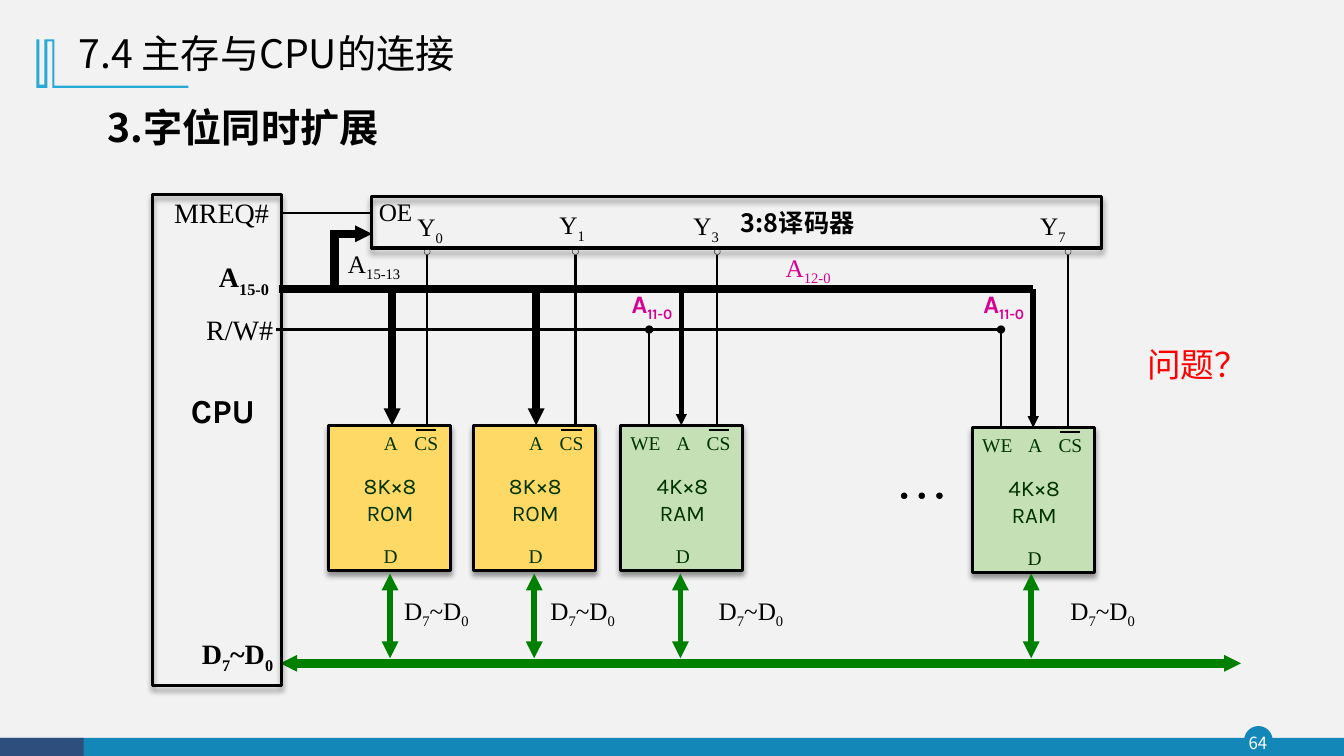
from dataclasses import dataclass

from lxml.etree import SubElement
from pptx import Presentation
from pptx.dml.color import RGBColor
from pptx.enum.shapes import MSO_CONNECTOR, MSO_SHAPE
from pptx.enum.text import MSO_ANCHOR, PP_ALIGN
from pptx.oxml.ns import qn
from pptx.util import Pt

LEFT, MID, RIGHT = PP_ALIGN.LEFT, PP_ALIGN.CENTER, PP_ALIGN.RIGHT


@dataclass(frozen=True)
class Theme:
    back: str = "F2F2F2"
    ink: str = "000000"
    white: str = "FFFFFF"
    blue: str = "1387B7"
    navy: str = "2E4E7E"
    sky: str = "28A9D6"
    pink: str = "D60093"
    red: str = "FF0000"
    green: str = "008000"
    dark: str = "003300"
    rom: str = "FFD966"
    ram: str = "C5E0B4"
    serif: str = "Times New Roman"
    sans: str = "Karla"
    hans: str = "Noto Sans CJK SC"
    bold: str = "Noto Sans CJK JP"
    head: int = 28
    large: int = 24
    pin: int = 20
    note: int = 18
    body: int = 16
    page: int = 12
    thin: float = 1.5
    edge: float = 2.25
    wide: float = 4
    bus: float = 6


@dataclass(frozen=True)
class Chip:
    left: float
    top: float
    kind: str
    select: float
    addr: float
    data: float
    tag: float
    out: str


T = Theme()
BUS_Y, WRITE_Y, GATE_Y = 206.6, 235.4, 179.8
CHIP_W, CHIP_H = 87.1, 103.7
CHIPS = (
    Chip(234.7, 303.8, "ROM", 305.2, 280.1, 278.6, 335.5, "0"),
    Chip(338.4, 303.8, "ROM", 411.1, 383, 381.6, 440, "1"),
    Chip(443.5, 303.8, "RAM", 512.4, 486.7, 486, 560.2, "3"),
    Chip(694.8, 305.3, "RAM", 763, 738, 736.6, 811.4, "7"),
)


def rgb(code):
    return RGBColor.from_string(code)


def write(frame, lines, size, color=T.ink, font=T.serif, bold=False,
          align=RIGHT, lift=0):
    """Fill a frame; in each line, every second run is a subscript."""
    frame.word_wrap = True
    for i, line in enumerate(lines):
        para = frame.paragraphs[0] if i == 0 else frame.add_paragraph()
        para.alignment = align
        for j, words in enumerate(line):
            run = para.add_run()
            run.text = words
            run.font.size, run.font.bold = Pt(size), bold
            run.font.color.rgb = rgb(color)
            run.font.name = font
            props = run._r.get_or_add_rPr()
            SubElement(props, qn("a:ea")).set("typeface", font)
            base = -25 if j % 2 else lift
            if base:
                props.set("baseline", str(base * 1000))


def label(slide, box, lines, size, anchor=MSO_ANCHOR.TOP, **look):
    """Add a text box; each line is a list of runs."""
    frame = slide.shapes.add_textbox(*map(Pt, box)).text_frame
    frame.margin_left = frame.margin_right = Pt(0.7)
    frame.margin_top = frame.margin_bottom = Pt(0.7)
    frame.vertical_anchor = anchor
    write(frame, lines, size, **look)
    return frame


def shape(slide, form, box, fill=None, line=None, width=1, shade=False):
    item = slide.shapes.add_shape(form, *map(Pt, box))
    item.shadow.inherit = False
    if fill:
        item.fill.solid()
        item.fill.fore_color.rgb = rgb(fill)
    else:
        item.fill.background()
    if line:
        item.line.color.rgb = rgb(line)
        item.line.width = Pt(width)
    else:
        item.line.fill.background()
    if shade:
        glow = SubElement(item._element.spPr.find(qn("a:effectLst")), qn("a:outerShdw"),
                          blurRad=str(Pt(4)), dist=str(Pt(3)), dir="5400000",
                          algn="t", rotWithShape="0")
        tint = SubElement(glow, qn("a:srgbClr"), val=T.ink)
        SubElement(tint, qn("a:alpha"), val="40000")
    return item


def wire(slide, start, end, width=T.thin, color=T.ink, head=None, tail=None, tip="med"):
    link = slide.shapes.add_connector(MSO_CONNECTOR.STRAIGHT, *map(Pt, start + end))
    link.line.color.rgb = rgb(color)
    link.line.width = Pt(width)
    stroke = link.line._get_or_add_ln()
    for name, kind in (("a:headEnd", head), ("a:tailEnd", tail)):
        if kind:
            SubElement(stroke, qn(name), type=kind, w=tip, len=tip)
    SubElement(link._element.spPr, qn("a:effectLst"))


def heading(slide, box):
    x, y, w, h = box
    mark = ((2.2, 0), (2.2, 32.4), (5.8, 32.4), (5.8, 0), (13, 0), (13, 33.1),
            (108.7, 33.1), (108.7, 34.6), (11.5, 34.6), (11.5, 1.4),
            (7.9, 1.4), (7.9, 34.6), (0, 34.6))
    pen = slide.shapes.build_freeform(Pt(x), Pt(y + 13))
    pen.add_line_segments([(Pt(x + a), Pt(y + 13 + b)) for a, b in mark])
    sign = pen.convert_to_shape()
    sign.shadow.inherit = False
    sign.fill.solid()
    sign.fill.fore_color.rgb = rgb(T.sky)
    sign.line.fill.background()
    part = label(slide, (x + 29.6, y, w, 49), [["7.4 主存与CPU的连接"]], T.head,
                 MSO_ANCHOR.MIDDLE, font=T.hans, align=LEFT)
    title = slide.shapes.title
    title.left, title.top = Pt(x + 43.9), Pt(y + 53.3)
    title.width, title.height = Pt(w + 60), Pt(49)
    title.text_frame.vertical_anchor = MSO_ANCHOR.MIDDLE
    write(title.text_frame, [["3.字位同时扩展"]], T.head, font=T.bold,
          bold=True, align=LEFT)
    for frame in (part, title.text_frame):
        frame.paragraphs[0].line_spacing = 0.9


def footer(slide, box):
    x, y, w, h = box
    shape(slide, MSO_SHAPE.OVAL, (x + 889.2, y - 7.9, 19.4, 19.4), T.blue, T.blue)
    shape(slide, MSO_SHAPE.RECTANGLE, box, T.blue)
    shape(slide, MSO_SHAPE.RECTANGLE, (x, y, 59.8, h), T.navy)
    label(slide, (x + 887, y - 7.9, 23, 22.3), [["64"]], T.page,
          MSO_ANCHOR.MIDDLE, color=T.white, font=T.hans, align=MID)


def cpu(slide, box):
    x, y, w, h = box
    shape(slide, MSO_SHAPE.RECTANGLE, box, line=T.ink, width=T.edge, shade=True)
    pins = ((3.6, 0, ["MREQ#"], False), (3.6, 46, ["A", "15-0"], True),
            (6.5, 83.5, ["R/W#"], False), (6.5, 314.6, ["D", "7", "~D", "0"], True))
    for dx, dy, line, bold in pins:
        label(slide, (x + dx, y + dy, 80.6, 40), [line], T.pin, bold=bold)
    label(slide, (x - 6.5, y + 139, 80.6, 40), [["CPU"]], T.large, font=T.sans, bold=True)


def decoder(slide, box):
    x, y, w, h = box
    block = shape(slide, MSO_SHAPE.TRAPEZOID, box, line=T.ink, width=T.edge, shade=True)
    block.adjustments[0] = 0
    label(slide, (x + 262.8, y + 7.2, 120, 28), [["3:8译码器"]], T.note,
          font=T.hans, bold=True, align=LEFT)
    label(slide, (x - 5.8, y - 0.7, 45.4, 22.3), [["OE"]], T.note, align=MID)
    for dx, dy, chip in zip((41.5, 143, 238.7, 486.4), (10.1, 8.6, 9.4, 9.4), CHIPS):
        label(slide, (x + dx - 22.7, y + dy, 45.4, 22.3), [["Y", chip.out]],
              T.note, align=MID)


def memory(slide, chip):
    """Draw one chip with its select, address, write and data lines."""
    x, y, ram = chip.left, chip.top, chip.kind == "RAM"
    shape(slide, MSO_SHAPE.RECTANGLE, (x, y, CHIP_W, CHIP_H),
          T.ram if ram else T.rom, T.ink, T.edge, True)
    pins = [("A", 44.6, 0.7), ("CS", 69.8, 0.7), ("D", 44.3, 81.4)]
    if ram:
        pins.append(("WE", 17.6, 0.7))
    for name, dx, dy in pins:
        label(slide, (x + dx - 20, y + dy, 40, 30), [[name]], T.large,
              color=T.dark, align=MID, lift=30)
    label(slide, (x - 1.4, y + 32.6, 90.7, 42),
          [["4K×8" if ram else "8K×8"], [chip.kind]], T.body,
          color=T.dark, font=T.sans, align=MID)
    wire(slide, (x + 62.6, y + 3.6), (x + 77, y + 3.6))

    wire(slide, (chip.select, y), (chip.select, GATE_Y + 2.2))
    shape(slide, MSO_SHAPE.OVAL, (chip.select - 2.2, GATE_Y - 2.2, 4.3, 4.3),
          line=T.ink, width=0.25)
    wire(slide, (chip.addr, BUS_Y), (chip.addr, y),
         T.wide if ram else T.bus, tail="triangle", tip="sm")
    if ram:
        wire(slide, (x + 20.2, y), (x + 20.2, WRITE_Y), tail="oval")
        label(slide, (x - 33.8, BUS_Y - 1.5, 71.3, 35), [["A", "11-0"]], T.note,
              color=T.pink, font=T.sans, bold=True)
    wire(slide, (chip.data, 409.7), (chip.data, 470.2), T.wide, T.green,
         "triangle", "triangle")
    label(slide, (chip.tag - 64, 424.6, 64, 34.6), [["D", "7", "~D", "0"]], T.note)


def buses(slide, box):
    """Draw the shared lines from the right edge of the CPU."""
    x, y, w, h = box
    gate = x + 65.5
    wire(slide, (x, 151.9), (gate, 151.9))
    wire(slide, (x - 0.7, BUS_Y), (CHIPS[-1].addr, BUS_Y), T.bus)
    wire(slide, (x - 2.9, WRITE_Y), (713.5, WRITE_Y))
    wire(slide, (x, y + h), (x + w, y + h), T.bus, T.green,
         "triangle", "triangle", "sm")
    wire(slide, (239, 167), (gate, 167), T.bus, tail="triangle", tip="sm")
    wire(slide, (239, 164), (239, BUS_Y), T.bus)
    label(slide, (216, 176.4, 70.6, 34.6), [["A", "15-13"]], T.note)
    label(slide, (522.7, 179.3, 71.3, 35), [["A", "12-0"]], T.note, color=T.pink)


def dots(slide, box):
    x, y, w, h = box
    for i in range(3):
        shape(slide, MSO_SHAPE.OVAL, (x + i * (w - h) / 2, y, h, h), T.ink, T.ink, 0.25)


def main():
    deck = Presentation()
    deck.slide_width, deck.slide_height = Pt(960), Pt(540)
    slide = deck.slides.add_slide(deck.slide_layouts[5])
    slide.background.fill.solid()
    slide.background.fill.fore_color.rgb = rgb(T.back)
    footer(slide, (0, 527, 960, 13))
    heading(slide, (25.9, 15.1, 344, 102))
    for chip in CHIPS:
        memory(slide, chip)
    buses(slide, (200.2, 139, 686.2, 334.8))
    decoder(slide, (265.7, 140.4, 521.3, 36.7))
    cpu(slide, (108.7, 139, 92.2, 350.6))
    dots(slide, (643.7, 352, 29.5, 4.3))
    label(slide, (818.7, 244.8, 90, 36), [["问题？"]], T.large, color=T.red,
          font=T.hans, align=LEFT)
    deck.save("out.pptx")


if __name__ == "__main__":
    main()
